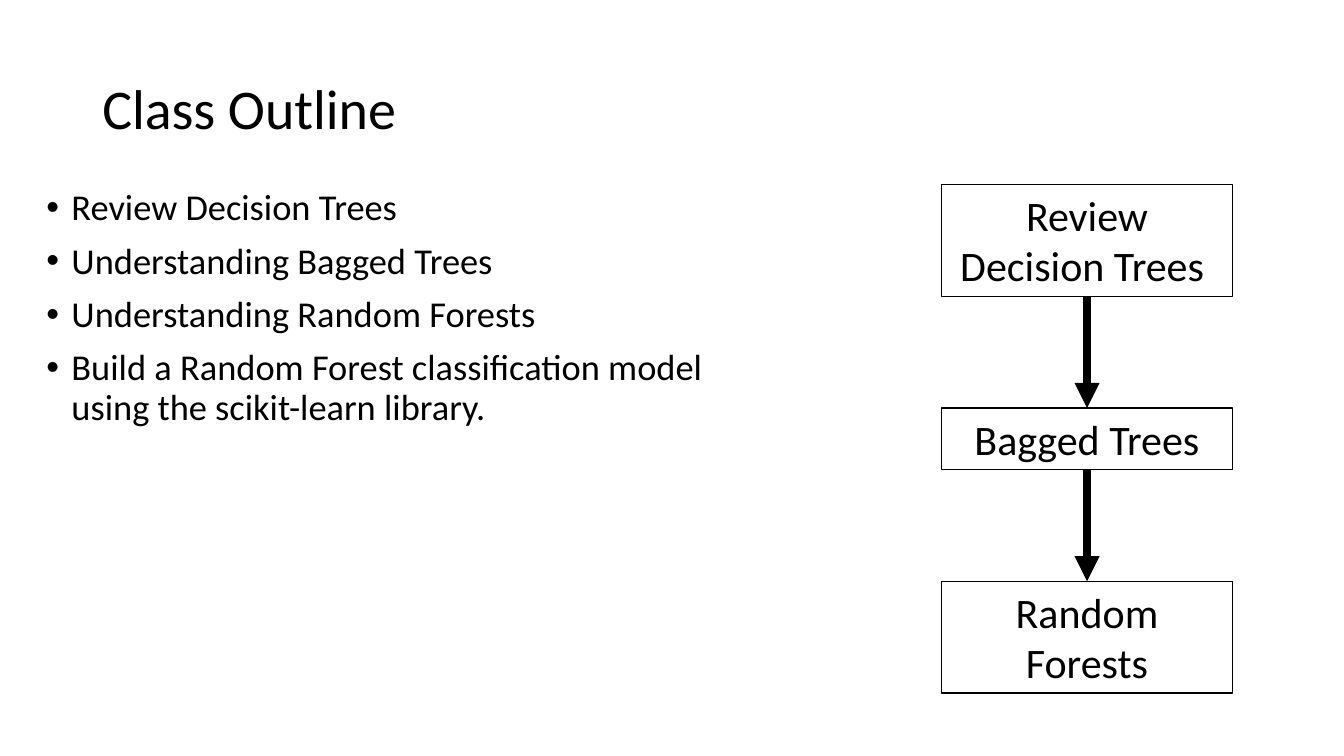
from pptx import Presentation
from pptx.dml.color import RGBColor
from pptx.enum import shapes, text
from pptx.oxml.ns import qn
from pptx.util import Pt
from lxml import etree

# Content
TITLE = "Class Outline"
GOALS = [
    "Review Decision Trees",
    "Understanding Bagged Trees",
    "Understanding Random Forests",
    "Build a Random Forest classification model using the scikit-learn library.",
]
# Flow steps: label, box height
STEPS = [("Review Decision Trees ", 79.9), ("Bagged Trees", 43.9), ("Random Forests", 79.9)]

COLORS = {"ink": "000000", "paper": "FFFFFF"}
FONT = "Calibri"
LEFT, TOP, WIDTH, GAP = 672.5, 131.8, 208, 79.8


def rgb(name):
    return RGBColor.from_string(COLORS[name])


def style(para, size):
    para.font.name = FONT
    para.font.size = Pt(size)
    para.font.color.rgb = rgb("ink")


def add_text(slide, box, lines, size, anchor):
    frame = slide.shapes.add_textbox(*map(Pt, box)).text_frame
    frame.word_wrap = True
    frame.vertical_anchor = anchor
    frame.text = "\n".join(lines)
    for para in frame.paragraphs:
        style(para, size)
        para.line_spacing = 0.9
    return frame


def add_bullet(para):
    para.space_before = Pt(10)
    props = para._p.get_or_add_pPr()
    props.set("marL", str(Pt(18)))
    props.set("indent", str(Pt(-18)))
    etree.SubElement(props, qn("a:buFont")).set("typeface", "Arial")
    etree.SubElement(props, qn("a:buChar")).set("char", "•")


def add_step(slide, label, top, height):
    box = slide.shapes.add_shape(
        shapes.MSO_SHAPE.RECTANGLE, Pt(LEFT), Pt(top), Pt(WIDTH), Pt(height))
    box.shadow.inherit = False
    box.fill.background()
    box.line.color.rgb = rgb("ink")
    box.line.width = Pt(1)
    frame = box.text_frame
    frame.word_wrap = True
    frame.vertical_anchor = text.MSO_ANCHOR.TOP
    frame.auto_size = text.MSO_AUTO_SIZE.SHAPE_TO_FIT_TEXT
    frame.text = label
    para = frame.paragraphs[0]
    para.alignment = text.PP_ALIGN.CENTER
    style(para, 30)
    return box


def add_arrow(slide, start, end):
    arrow = slide.shapes.add_connector(shapes.MSO_CONNECTOR.STRAIGHT, 0, 0, 0, 0)
    arrow.begin_connect(start, 2)
    arrow.end_connect(end, 0)
    arrow.line.color.rgb = rgb("ink")
    arrow.line.width = Pt(6)
    etree.SubElement(arrow.line._get_or_add_ln(), qn("a:tailEnd")).set("type", "triangle")
    etree.SubElement(arrow._element.spPr, qn("a:effectLst"))


def main():
    deck = Presentation()
    deck.slide_width, deck.slide_height = Pt(960), Pt(540)
    slide = deck.slides.add_slide(deck.slide_layouts[6])
    slide.background.fill.solid()
    slide.background.fill.fore_color.rgb = rgb("paper")

    # Title and goals
    add_text(slide, (66, 27.4, 828, 104.4), [TITLE], 40, text.MSO_ANCHOR.MIDDLE)
    goals = add_text(slide, (26, 131.8, 523.4, 376.6), GOALS, 26, text.MSO_ANCHOR.TOP)
    for para in goals.paragraphs:
        add_bullet(para)

    # Flow: boxes stacked with equal gaps, joined by arrows
    top, boxes = TOP, []
    for label, height in STEPS:
        boxes.append(add_step(slide, label, top, height))
        top += height + GAP
    for start, end in zip(boxes, boxes[1:]):
        add_arrow(slide, start, end)

    deck.save("out.pptx")


if __name__ == "__main__":
    main()
